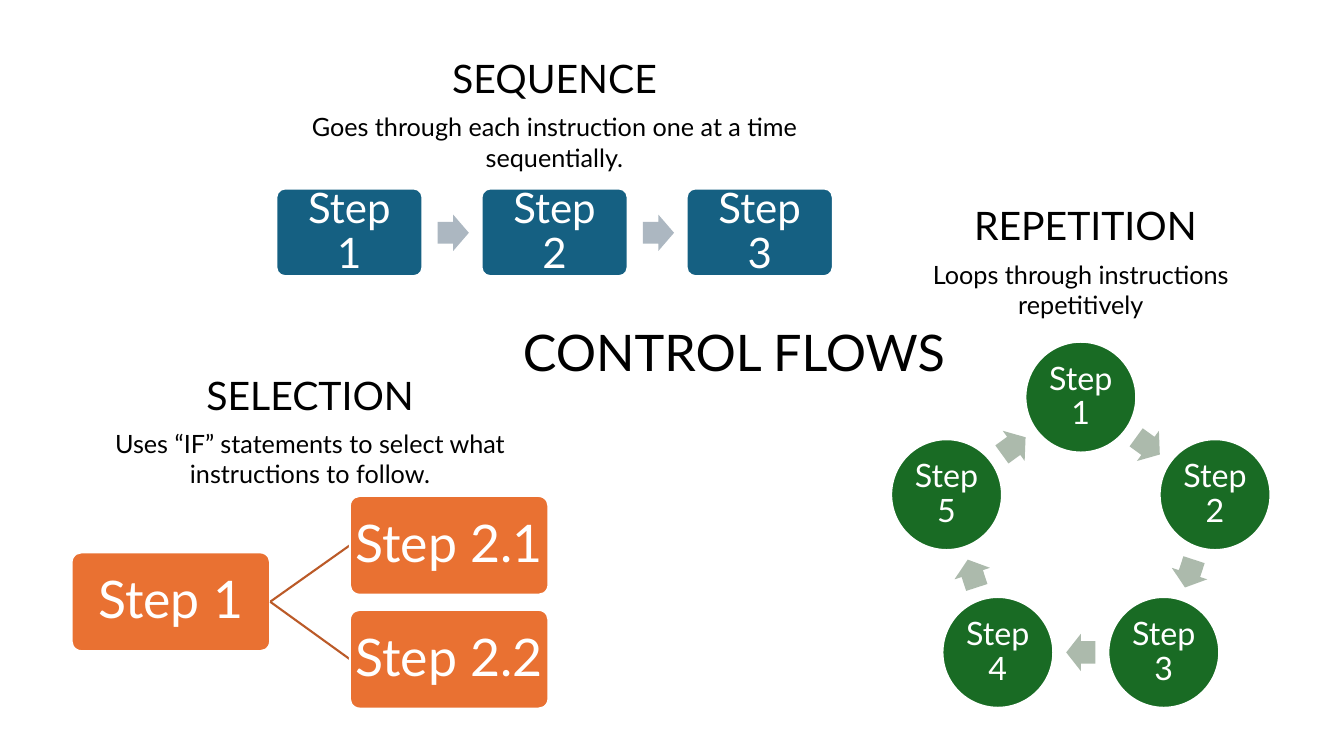
from dataclasses import dataclass
from math import cos, pi, sin

from lxml import etree
from pptx import Presentation
from pptx.dml.color import RGBColor
from pptx.enum.shapes import MSO_CONNECTOR, MSO_SHAPE
from pptx.enum.text import MSO_ANCHOR, PP_ALIGN
from pptx.oxml.ns import qn
from pptx.util import Inches, Pt

CENTER = PP_ALIGN.CENTER
MIDDLE = MSO_ANCHOR.MIDDLE
TOP = MSO_ANCHOR.TOP
STRAIGHT = MSO_CONNECTOR.STRAIGHT
ROUNDED = MSO_SHAPE.ROUNDED_RECTANGLE
OVAL = MSO_SHAPE.OVAL
ARROW = MSO_SHAPE.RIGHT_ARROW


@dataclass(frozen=True)
class Theme:
    """Colours, font and type sizes of the slide."""
    font: str = "Lato"
    ink: str = "000000"
    paper: str = "FFFFFF"
    orange: str = "E97132"
    branch: str = "BB5A28"
    blue: str = "156082"
    blue_arrow: str = "ACB7C1"
    green: str = "196B24"
    green_arrow: str = "ACBAAC"
    title: int = 36
    heading: int = 28
    body: int = 18
    selection_step: int = 37
    sequence_step: int = 30
    repetition_step: int = 23
    line: float = 1.5


@dataclass(frozen=True)
class Box:
    """A rectangle in inches."""
    left: float
    top: float
    width: float
    height: float

    def lengths(self):
        """Return the four sides as slide lengths."""
        return [Inches(side) for side in (self.left, self.top, self.width, self.height)]


THEME = Theme()


def color(code):
    """Turn a hex code into a colour."""
    return RGBColor.from_string(code)


def write(frame, text, size, ink, anchor=TOP, spacing=1.0):
    """Write one centred paragraph of text into a frame."""
    frame.word_wrap = True
    frame.vertical_anchor = anchor
    para = frame.paragraphs[0]
    para.alignment = CENTER
    para.line_spacing = spacing
    span = para.add_run()
    span.text = text
    span.font.name = THEME.font
    span.font.size = Pt(size)
    span.font.color.rgb = color(ink)


def add_label(page, box, text, size):
    """Add a text box in black."""
    label = page.shapes.add_textbox(*box.lengths())
    write(label.text_frame, text, size, THEME.ink)


def add_caption(page, box, heading, description, heading_inset=0):
    """Add a heading and its description at the top of a region."""
    heading_box = Box(box.left + heading_inset, box.top, box.width - heading_inset, 0.57)
    add_label(page, heading_box, heading, THEME.heading)
    add_label(page, Box(box.left, box.top + 0.57, box.width, 0.71), description, THEME.body)


def add_step(page, kind, box, text, fill, size, inset):
    """Add a filled step with a white outline and white text."""
    step = page.shapes.add_shape(kind, *box.lengths())
    step.shadow.inherit = False
    if kind == ROUNDED:
        step.adjustments[0] = 0.1
    step.fill.solid()
    step.fill.fore_color.rgb = color(fill)
    step.line.color.rgb = color(THEME.paper)
    step.line.width = Pt(THEME.line)
    frame = step.text_frame
    frame.margin_left = frame.margin_right = Inches(inset)
    frame.margin_top = frame.margin_bottom = Inches(inset)
    write(frame, text, size, THEME.paper, MIDDLE, 0.9)


def add_arrow(page, box, fill, rotation=0):
    """Add a block arrow without an outline."""
    arrow = page.shapes.add_shape(ARROW, *box.lengths())
    arrow.shadow.inherit = False
    arrow.adjustments[0] = 0.6
    arrow.adjustments[1] = 0.5
    arrow.fill.solid()
    arrow.fill.fore_color.rgb = color(fill)
    arrow.line.fill.background()
    arrow.rotation = rotation


def add_branch(page, start, end):
    """Add a straight line between two points."""
    branch = page.shapes.add_connector(STRAIGHT, *[Inches(value) for value in start + end])
    branch.line.color.rgb = color(THEME.branch)
    branch.line.width = Pt(THEME.line)
    etree.SubElement(branch.element.spPr, qn("a:effectLst"))


def add_selection(page, box):
    """Place the selection region: one step that branches into two."""
    add_caption(page, box, "SELECTION",
                "Uses “IF” statements to select what instructions to follow.")
    width, height, pitch, inset = 1.97, 0.98, 1.13, 0
    first = Box(box.left + 0.28, box.top + 1.85, width, height)
    start = (first.left + width, first.top + height / 2)
    add_step(page, ROUNDED, first, "Step 1", THEME.orange, THEME.selection_step, inset)
    for index, text in enumerate(("Step 2.1", "Step 2.2")):
        option = Box(box.left + 3.04, box.top + 1.29 + index * pitch, width, height)
        add_branch(page, start, (option.left, option.top + height / 2))
        add_step(page, ROUNDED, option, text, THEME.orange, THEME.selection_step, inset)


def add_sequence(page, box):
    """Place the sequence region: three steps in a row."""
    add_caption(page, box, "SEQUENCE",
                "Goes through each instruction one at a time sequentially.")
    count, margin, width, height = 3, 0.01, 1.45, 0.87
    pitch = (box.width - 2 * margin - width) / (count - 1)
    top = box.top + box.height - height
    for index in range(count):
        left = box.left + margin + index * pitch
        add_step(page, ROUNDED, Box(left, top, width, height), f"Step {index + 1}",
                 THEME.blue, THEME.sequence_step, 0.12)
        if index < count - 1:
            add_arrow(page, Box(left + width + 0.15, top + 0.26, 0.31, 0.36), THEME.blue_arrow)


def add_repetition(page, box):
    """Place the repetition region: five steps in a ring."""
    add_caption(page, box, "REPETITION", "Loops through instructions repetitively", 0.09)
    count, radius, size = 5, 1.4, 1.1
    arrow_width, arrow_height = 0.29, 0.37
    center_x, center_y = box.left + box.width / 2, box.top + 3.39
    turn = 2 * pi / count
    arrow_radius = radius * cos(turn / 2)
    for index in range(count):
        angle = index * turn
        step = Box(center_x + radius * sin(angle) - size / 2,
                   center_y - radius * cos(angle) - size / 2, size, size)
        add_step(page, OVAL, step, f"Step {index + 1}", THEME.green,
                 THEME.repetition_step, 0.03)
        angle += turn / 2
        arrow = Box(center_x + arrow_radius * sin(angle) - arrow_width / 2,
                    center_y - arrow_radius * cos(angle) - arrow_height / 2,
                    arrow_width, arrow_height)
        add_arrow(page, arrow, THEME.green_arrow, (index + 0.5) * 360 / count)


def main():
    """Build the control flow slide and save it."""
    deck = Presentation()
    deck.slide_width, deck.slide_height = Inches(13.33), Inches(7.5)
    page = deck.slides.add_slide(deck.slide_layouts[6])
    add_label(page, Box(5, 3.14, 4.56, 0.71), "CONTROL FLOWS", THEME.title)
    add_selection(page, Box(0.43, 3.63, 5.29, 3.4))
    add_sequence(page, Box(2.73, 0.49, 5.54, 2.25))
    add_repetition(page, Box(8.84, 1.95, 3.76, 5.07))
    deck.save("out.pptx")


if __name__ == "__main__":
    main()
